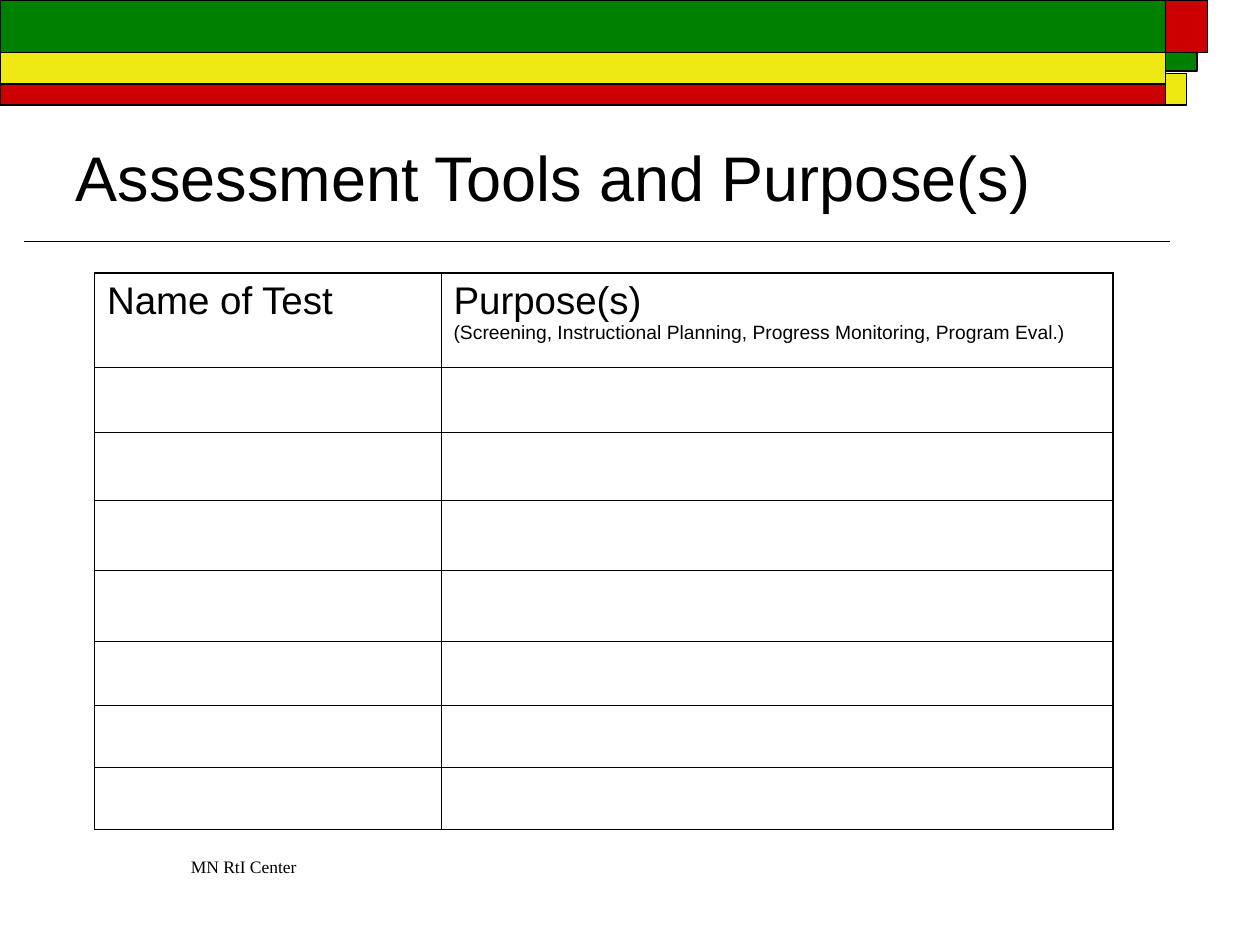
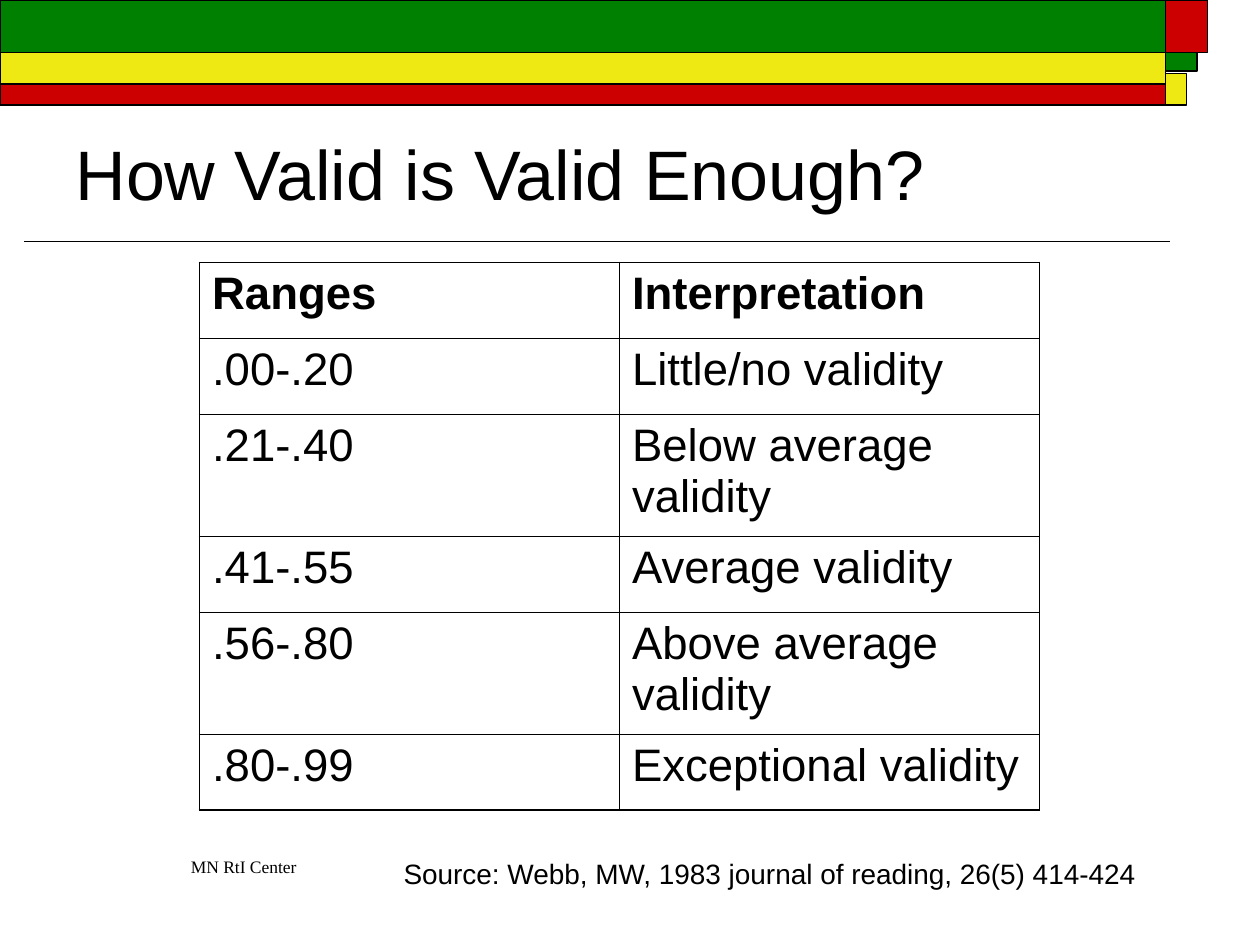
from pptx import Presentation
from pptx.dml.color import RGBColor
from pptx.enum.shapes import MSO_CONNECTOR, MSO_SHAPE
from pptx.enum.text import MSO_ANCHOR, MSO_AUTO_SIZE, PP_ALIGN
from pptx.oxml.ns import qn
from pptx.util import Inches, Pt
from lxml.etree import SubElement

COLOURS = {"black": "000000", "green": "008000", "yellow": "EEE912", "red": "CC0000"}
COLUMNS, ROWS = 120, 90
BAND_END = 111
THIN, MEDIUM, THICK = 0.45, 0.75, 1.08
SIDES = {"left": "lnL", "right": "lnR", "top": "lnT", "bottom": "lnB"}

# left, top, width, height in grid units, then colour and outline width
BANDS = [
    (BAND_END, 0, 4, 5, "red", 1),
    (0, 0, BAND_END, 5, "green", 1),
    (0, 8, BAND_END, 2, "red", 1),
    (BAND_END, 5, 3, 1.8, "green", 1),
    (0, 5, BAND_END, 3, "yellow", MEDIUM),
    (BAND_END, 7, 2, 3, "yellow", MEDIUM),
]

PURPOSES = "(Screening, Instructional Planning, Progress Monitoring, Program Eval.)"
TEST_ROW_HEIGHTS = [6.2, 6.5, 6.6, 6.8, 6.1, 5.9, 5.9]
VALIDITY_RANGES = [
    ("Ranges", "Interpretation"),
    (".00-.20", "Little/no validity"),
    (".21-.40", "Below average validity"),
    (".41-.55", "Average validity"),
    (".56-.80", "Above average validity"),
    (".80-.99", "Exceptional validity"),
]


def colour(name):
    return RGBColor.from_string(COLOURS[name])


def set_values(target, values):
    for name, value in values.items():
        setattr(target, name, value)


class Deck:
    """Holds the shared style and the slide being drawn on a 120 by 90 grid."""

    def __init__(self):
        self.presentation = Presentation()
        set_values(self.presentation,
                   {"slide_width": Inches(10), "slide_height": Inches(7.5)})
        self.slide = None

    def place(self, left, top, width, height):
        column = self.presentation.slide_width / COLUMNS
        row = self.presentation.slide_height / ROWS
        return [round(length) for length in
                (left * column, top * row, width * column, height * row)]

    def fill_text(self, frame, lines, font="Arial", align=PP_ALIGN.LEFT, bold=False):
        """Fills a text frame with one paragraph per (text, size) pair."""
        for index, (text, size) in enumerate(lines):
            paragraph = frame.add_paragraph() if index else frame.paragraphs[0]
            paragraph.alignment = align
            run = paragraph.add_run()
            run.text = text
            set_values(run.font, {"name": font, "size": Pt(size), "bold": bold})
            run.font.color.rgb = colour("black")

    def new_slide(self, title, size):
        layout = self.presentation.slide_layouts[5]
        self.slide = self.presentation.slides.add_slide(layout)
        for band in BANDS:
            self.band(*band)
        self.rule(2.3, 111.4, 23)
        self.label("MN RtI Center", (17, 80.9, 14.3, 3.2), 10, font="Times New Roman")
        self.title(title, size)

    def title(self, text, size):
        shape = self.slide.shapes.title
        box = self.place(6, 7, 107, 14)
        set_values(shape, dict(zip(("left", "top", "width", "height"), box)))
        set_values(shape.text_frame, {"vertical_anchor": MSO_ANCHOR.BOTTOM,
                                      "auto_size": MSO_AUTO_SIZE.NONE, "word_wrap": True})
        self.fill_text(shape.text_frame, [(text, size)])

    def band(self, left, top, width, height, fill, outline):
        shape = self.slide.shapes.add_shape(
            MSO_SHAPE.RECTANGLE, *self.place(left, top, width, height))
        shape.shadow.inherit = False
        shape.fill.solid()
        shape.fill.fore_color.rgb = colour(fill)
        shape.line.color.rgb = colour("black")
        shape.line.width = Pt(outline)

    def rule(self, start, end, row):
        left, top, width, _ = self.place(start, row, end - start, 0)
        line = self.slide.shapes.add_connector(
            MSO_CONNECTOR.STRAIGHT, left + width, top, left, top)
        line.line.color.rgb = colour("black")
        line.line.width = Pt(1)
        SubElement(line._element.spPr, qn("a:effectLst"))

    def label(self, text, box, size, wrap=True, **style):
        frame = self.slide.shapes.add_textbox(*self.place(*box)).text_frame
        set_values(frame, {"word_wrap": wrap,
                           "auto_size": MSO_AUTO_SIZE.SHAPE_TO_FIT_TEXT})
        self.fill_text(frame, [(text, size)], **style)

    def table(self, left, top, widths, heights, cells, thick_sides, bold_header=False):
        """Draws a ruled table; cells holds rows of lists of (text, size) pairs."""
        box = self.place(left, top, sum(widths), sum(heights))
        table = self.slide.shapes.add_table(len(heights), len(widths), *box).table
        set_values(table, {"first_row": False, "horz_banding": False})
        for column, width in zip(table.columns, widths):
            column.width = self.place(0, 0, width, 0)[2]
        for row, height in zip(table.rows, heights):
            row.height = self.place(0, 0, 0, height)[3]
        for row, row_cells in enumerate(cells):
            for column, lines in enumerate(row_cells):
                cell = table.cell(row, column)
                outer = {"left": column == 0, "right": column == len(widths) - 1,
                         "top": row == 0, "bottom": row == len(heights) - 1}
                for side in SIDES:
                    thick = outer[side] and side in thick_sides
                    self.border(cell, side, THICK if thick else THIN)
                cell.fill.background()
                self.fill_text(cell.text_frame, lines, bold=bold_header and row == 0)

    def border(self, cell, side, width):
        properties = cell._tc.get_or_add_tcPr()
        line = SubElement(properties, qn(f"a:{SIDES[side]}"), w=str(Pt(width)))
        fill = SubElement(line, qn("a:solidFill"))
        SubElement(fill, qn("a:srgbClr"), val=COLOURS["black"])


def main():
    deck = Deck()

    deck.new_slide("Assessment Tools and Purpose(s)", 36)
    header = [[("Name of Test", 22)], [("Purpose(s)", 22), (PURPOSES, 11)]]
    blank_rows = [[[], []] for _ in TEST_ROW_HEIGHTS]
    deck.table(9, 26, [33, 64], [9] + TEST_ROW_HEIGHTS, [header] + blank_rows,
               thick_sides=("top", "right"))

    deck.new_slide("How Valid is Valid Enough?", 40)
    cells = [[[(text, 26)] for text in row] for row in VALIDITY_RANGES]
    single, double = 7.23, 11.63
    deck.table(19, 25, [40, 40], [single, single, double, single, double, single], cells,
               thick_sides=SIDES, bold_header=True)
    deck.label("Source: Webb, MW, 1983 journal of reading, 26(5) 414-424",
               (37.1, 81, 72.4, 4.4), 16, wrap=False, align=PP_ALIGN.CENTER)

    deck.presentation.save("out.pptx")


if __name__ == "__main__":
    main()
